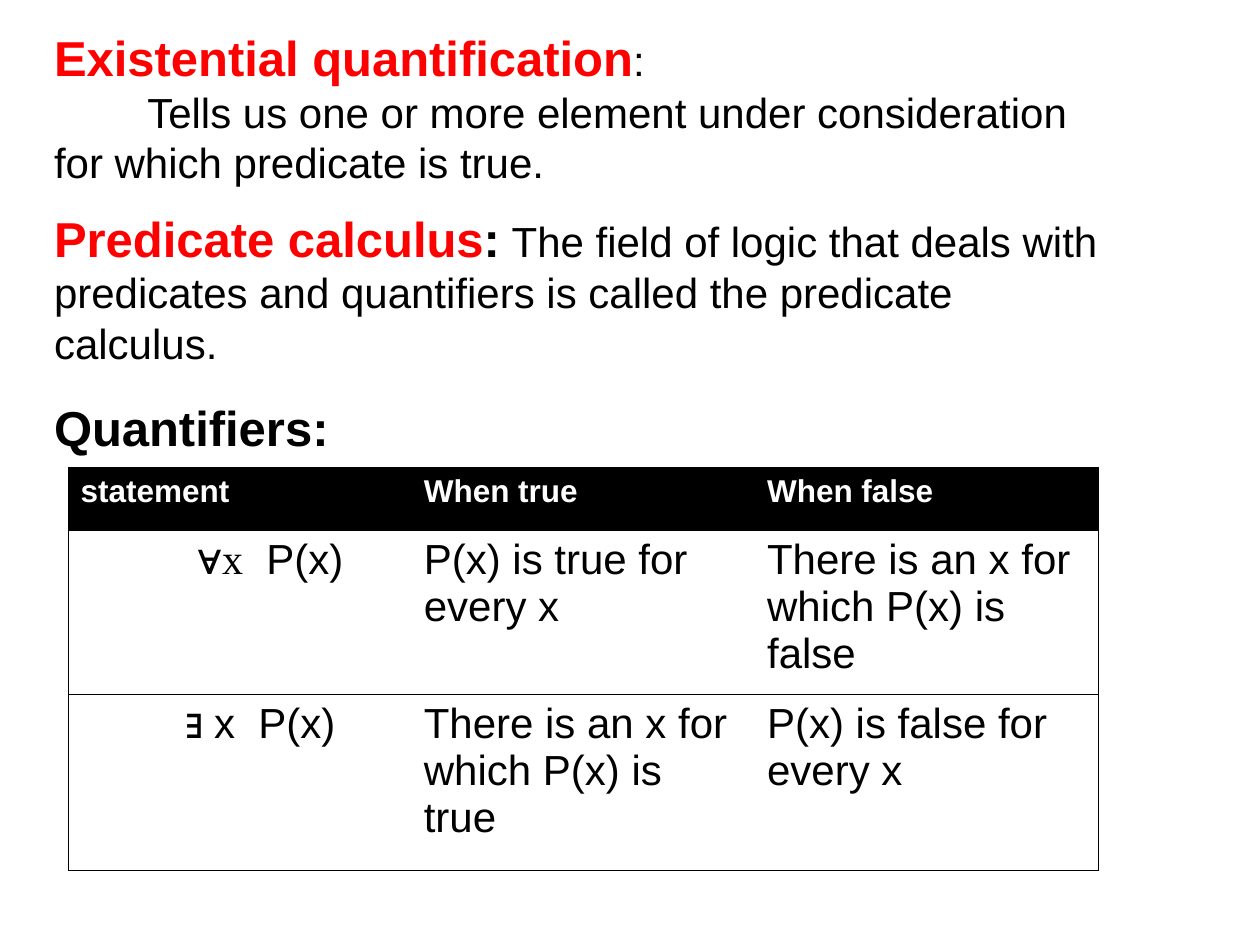
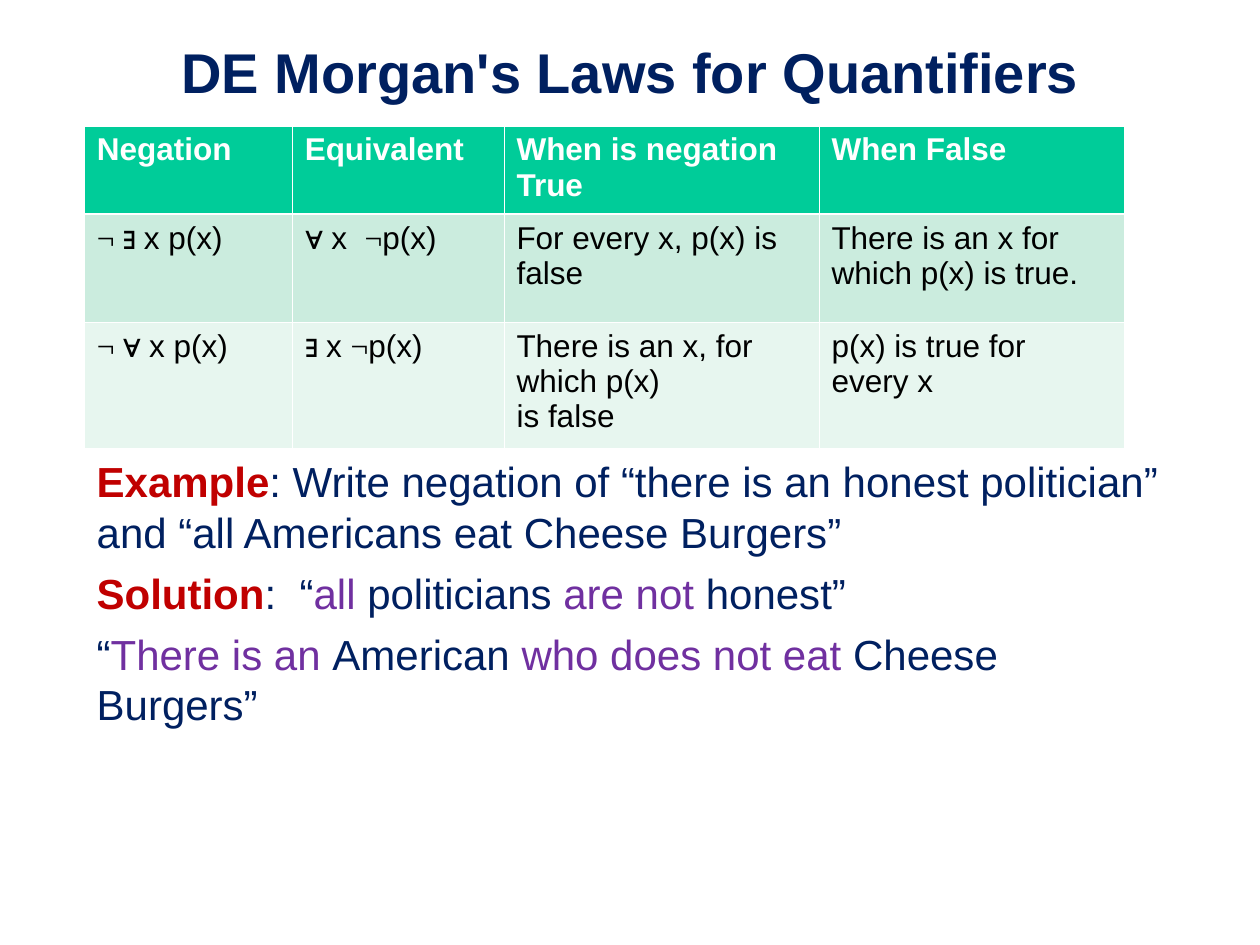
"""Build two slides on quantifiers: their definitions and De Morgan's laws."""
from dataclasses import dataclass

from lxml.etree import SubElement
from pptx import Presentation
from pptx.dml.color import RGBColor as Rgb
from pptx.enum.text import MSO_AUTO_SIZE as AutoSize, PP_ALIGN as Align
from pptx.oxml.ns import qn
from pptx.util import Cm, Pt


@dataclass(frozen=True)
class Theme:
    text_font: str = "Arial"
    symbol_font: str = "Times New Roman"
    black: str = "000000"
    white: str = "FFFFFF"
    red: str = "FF0000"
    navy: str = "002060"
    crimson: str = "C00000"
    purple: str = "7030A0"
    green: str = "00CC99"
    mint: str = "CBECDE"
    pale_mint: str = "E7F6EF"
    title: int = 32
    heading: int = 28
    body: int = 24
    cell: int = 18
    leading: float = 1.2


THEME = Theme()


@dataclass
class Para:
    runs: list
    size: int = THEME.body
    color: str = THEME.black
    bold: bool = False
    before: float = 0
    indent: float = 0
    align: Align = Align.LEFT


TERM = dict(size=THEME.heading, color=THEME.red, bold=True)
LABEL = dict(color=THEME.crimson, bold=True)
CHANGED = dict(color=THEME.purple)
SYMBOL = dict(font=THEME.symbol_font)

DEFINITIONS = dict(
    box=(0.84, 0.43, 21.79, 8.89),
    fit=AutoSize.SHAPE_TO_FIT_TEXT,
    paragraphs=[
        Para([("Existential quantification", TERM), (":", dict(size=THEME.body))],
             size=THEME.heading),
        Para(["Tells us one or more element under consideration for which "
              "predicate is true."], indent=1.88),
        Para([("Predicate calculus", TERM),
              (":", dict(size=THEME.heading, bold=True)), (" ", dict(bold=True)),
              "The field of logic that deals with predicates and quantifiers is "
              "called the predicate calculus."], before=16.8),
        Para(["Quantifiers:"], size=THEME.heading, bold=True, before=16.8),
    ],
)
QUANTIFIERS = dict(
    corner=(1.37, 9.42),
    columns=[6.92] * 3,
    rows=[1.27, 3.3, 3.56],
    size=THEME.body,
    fills=[THEME.black, None, None],
    rule=(THEME.black, 0.34),
    header_rule=(THEME.black, 0.34),
    inner_columns=False,
    cells=[
        ["statement", "When true", "When false"],
        [Para([("∀x", SYMBOL), "  P(x)"], indent=2.35),
         "P(x) is true for every x", "There is an x for which P(x) is false"],
        [Para([("∃ ", SYMBOL), "x  P(x)"], indent=2.12),
         "There is an x for which P(x) is true", "P(x) is false for every x"],
    ],
)

LAWS_TEXT = dict(
    box=(1.7, 0.64, 22.02, 14.6),
    fit=AutoSize.NONE,
    paragraphs=[
        Para(["DE Morgan's Laws for Quantifiers"], size=THEME.title,
             color=THEME.navy, bold=True, align=Align.CENTER),
        Para([("Example", LABEL),
              ": Write negation of “there is an honest politician” and "
              "“all Americans eat Cheese Burgers”"],
             color=THEME.navy, before=200.4),
        Para([("Solution", LABEL), ":  “", ("all", CHANGED), " politicians ",
              ("are not ", CHANGED), "honest”"], color=THEME.navy, before=6),
        Para(["“", ("There is an ", CHANGED), "American ",
              ("who does not eat ", CHANGED), "Cheese Burgers”"],
             color=THEME.navy, before=6),
    ],
)
LAWS = dict(
    corner=(1.7, 2.54),
    columns=[4.19, 4.27, 6.35, 6.15],
    rows=[1.78, 2.18, 2.54],
    size=THEME.cell,
    fills=[THEME.green, THEME.mint, THEME.pale_mint],
    rule=(THEME.white, 0.45),
    header_rule=(THEME.white, 1.47),
    inner_columns=True,
    cells=[
        ["Negation", "Equivalent", "When is negation True", "When False"],
        [Para([("¬ ∃ ", SYMBOL), "x p(x)"], size=THEME.cell),
         Para([("∀ ", SYMBOL), "x  ", ("¬", SYMBOL), "p(x)"], size=THEME.cell),
         "For every x, p(x) is false", "There is an x for which p(x) is true."],
        [Para([("¬ ∀ ", SYMBOL), "x p(x)"], size=THEME.cell),
         Para([("∃ ", SYMBOL), "x ", ("¬", SYMBOL), "p(x)"], size=THEME.cell),
         "There is an x, for which p(x)\nis false", "p(x) is true for every x"],
    ],
)

SLIDES = [(DEFINITIONS, QUANTIFIERS), (LAWS_TEXT, LAWS)]


def style_font(target, font=None, size=None, color=None, bold=None):
    if font:
        target.name = font
    if size:
        target.size = Pt(size)
    if color:
        target.color.rgb = Rgb.from_string(color)
    if bold is not None:
        target.bold = bold


def write(frame, paras, leading=None):
    for index, para in enumerate(paras):
        line = frame.add_paragraph() if index else frame.paragraphs[0]
        line.alignment = para.align
        line.space_before = Pt(para.before)
        if leading:
            line.line_spacing = Pt(round(body_size(para) * leading, 1))
        if para.indent:
            line._p.get_or_add_pPr().set("indent", str(Cm(para.indent)))
        style_font(line.font, THEME.text_font, para.size, para.color, para.bold)
        for part in para.runs:
            words, look = (part, {}) if isinstance(part, str) else part
            run = line.add_run()
            run.text = words
            style_font(run.font, **look)


def body_size(para):
    return para.size


def add_text(slide, content):
    box = slide.shapes.add_textbox(*map(Cm, content["box"]))
    frame = box.text_frame
    frame.word_wrap = True
    frame.auto_size = content["fit"]
    write(frame, content["paragraphs"], THEME.leading)


def set_borders(cell, sides):
    props = cell._tc.get_or_add_tcPr()
    for position, (side, rule) in enumerate(sides.items()):
        edge = SubElement(props, qn(f"a:ln{side}"))
        props.insert(position, edge)
        if rule is None:
            edge.set("w", "0")
            SubElement(edge, qn("a:noFill"))
            continue
        color, width = rule
        edge.set("w", str(Pt(width)))
        SubElement(SubElement(edge, qn("a:solidFill")), qn("a:srgbClr")).set("val", color)


def cell_paras(entry, size, is_header):
    if isinstance(entry, Para):
        return [entry]
    color = THEME.white if is_header else THEME.black
    return [Para([line], size=size, color=color, bold=is_header)
            for line in entry.split("\n")]


def add_grid(slide, content):
    columns, rows = content["columns"], content["rows"]
    place = (*content["corner"], sum(columns), sum(rows))
    grid = slide.shapes.add_table(len(rows), len(columns), *map(Cm, place)).table
    grid.first_row = grid.horz_banding = False
    for column, width in zip(grid.columns, columns):
        column.width = Cm(width)
    rule, header_rule = content["rule"], content["header_rule"]
    inner = rule if content["inner_columns"] else None
    for r, (entries, height, fill) in enumerate(zip(content["cells"], rows, content["fills"])):
        grid.rows[r].height = Cm(height)
        for c, entry in enumerate(entries):
            cell = grid.cell(r, c)
            if fill:
                cell.fill.solid()
                cell.fill.fore_color.rgb = Rgb.from_string(fill)
            else:
                cell.fill.background()
            size = content["size"] if r else THEME.cell
            write(cell.text_frame, cell_paras(entry, size, r == 0))
            set_borders(cell, {
                "L": inner if c else rule,
                "R": inner if c < len(columns) - 1 else rule,
                "T": header_rule if r == 1 else rule,
                "B": header_rule if r == 0 else rule,
            })


def main():
    deck = Presentation()
    deck.slide_width, deck.slide_height = Cm(25.4), Cm(19.05)
    for text, grid in SLIDES:
        slide = deck.slides.add_slide(deck.slide_layouts[6])
        add_text(slide, text)
        add_grid(slide, grid)
    deck.save("out.pptx")


if __name__ == "__main__":
    main()
